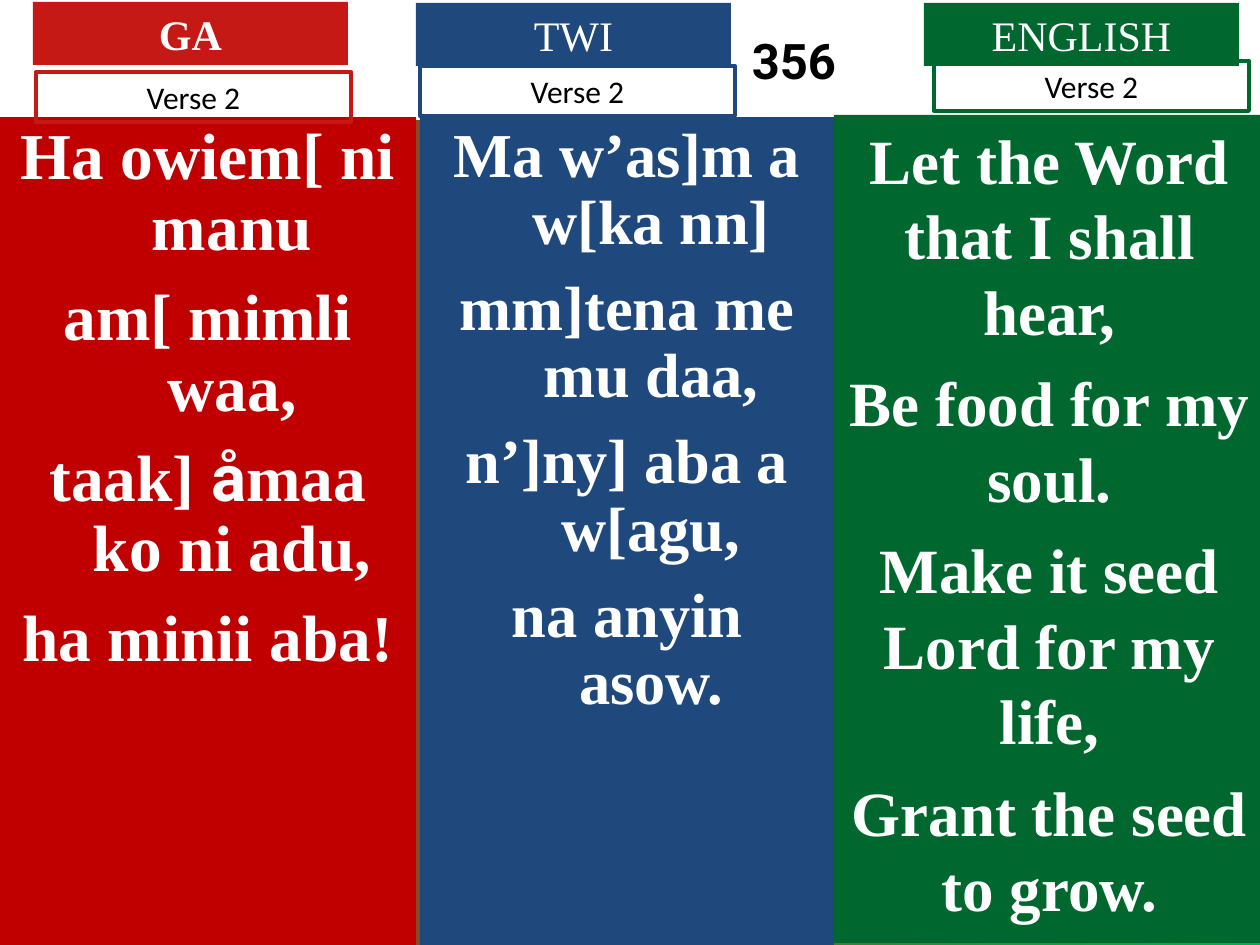
import pptx
import pptx.util
import pptx.dml.color
import pptx.enum.shapes
import pptx.enum.text

RGB = pptx.dml.color.RGBColor
Pt = pptx.util.Pt
SCALE = 914400 / 126
RED = RGB(0xC5, 0x19, 0x15)
DEEP = RGB(0xC0, 0x00, 0x00)
BLUE = RGB(0x1F, 0x49, 0x7D)
GREEN = RGB(0x00, 0x68, 0x2F)
LIME = RGB(0x00, 0xB0, 0x50)
WHITE = RGB(0xFF, 0xFF, 0xFF)
BLACK = RGB(0x00, 0x00, 0x00)
SERIF = "Times New Roman"


def px(n):
    return round(n * SCALE)


def box(spot, lines, face, size, ink, bold=False, fill=None, edge=None):
    shape = slide.shapes.add_shape(
        pptx.enum.shapes.MSO_SHAPE.RECTANGLE, *[px(n) for n in spot])
    shape.shadow.inherit = False
    if fill is None:
        shape.fill.background()
    else:
        shape.fill.solid()
        shape.fill.fore_color.rgb = fill
    if edge is None:
        shape.line.fill.background()
    else:
        shape.line.color.rgb = edge
        shape.line.width = Pt(2.25)
    frame = shape.text_frame
    frame.word_wrap = True
    frame.vertical_anchor = pptx.enum.text.MSO_ANCHOR.TOP
    for i, line in enumerate(lines):
        para = frame.add_paragraph() if i else frame.paragraphs[0]
        para.alignment = pptx.enum.text.PP_ALIGN.CENTER
        for part in filter(None, line.partition("å")):
            run = para.add_run()
            run.text = part
            run.font.name = "Roboto" if part == "å" else face
            run.font.size = Pt(size)
            run.font.bold = bold
            run.font.color.rgb = ink
    return frame


deck = pptx.Presentation()
deck.slide_width, deck.slide_height = px(1260), px(945)
slide = deck.slides.add_slide(deck.slide_layouts[6])

back = slide.background.fill
back.gradient()
back.gradient_angle = 0
for stop, color in zip(back.gradient_stops, (RED, LIME)):
    stop.color.rgb = color

title = box((0, 0, 1260, 120), ["356"], "Roboto", 28, BLACK, True, WHITE)
title.vertical_anchor = pptx.enum.text.MSO_ANCHOR.MIDDLE
title.margin_left, title.margin_right = px(328), 0

songs = [
    ("GA", True, RED, DEEP, (0, 117, 416, 828), (33, 2), (36, 72),
     37.4, 11, True,
     ["Ha owiem[ ni manu", "am[ mimli waa,", "taak] åmaa ko ni adu,",
      "ha minii aba!"]),
    ("TWI", False, BLUE, BLUE, (420, 117, 414, 828), (416, 3), (420, 66),
     35.7, 10.5, True,
     ["Ma w’as]m a w[ka nn]", "mm]tena me mu daa,", "n’]ny] aba a w[agu,",
      "na anyin asow."]),
    ("ENGLISH", False, GREEN, GREEN, (834, 115, 431, 828), (924, 3), (934, 61),
     36, 9, False,
     ["Let the Word that I shall hear,", "Be food for my soul.",
      "Make it seed Lord for my life,", "Grant the seed to grow."]),
]

for (name, bold, color, fill, spot, head, verse,
     size, gap, hang, lines) in songs:
    body = box(spot, lines, SERIF, size, WHITE, True, fill)
    for i, para in enumerate(body.paragraphs):
        if i:
            para.space_before = Pt(gap)
        if hang:
            para.line_spacing = 0.9
            props = para._p.get_or_add_pPr()
            props.set("marL", str(px(48)))
            props.set("indent", str(px(-48)))
    box((*head, 315, 63), [name], SERIF, 24, WHITE, bold, color)
    box((*verse, 315, 50), ["Verse 2"], "Calibri", 18, BLACK, edge=color)

deck.save("out.pptx")
